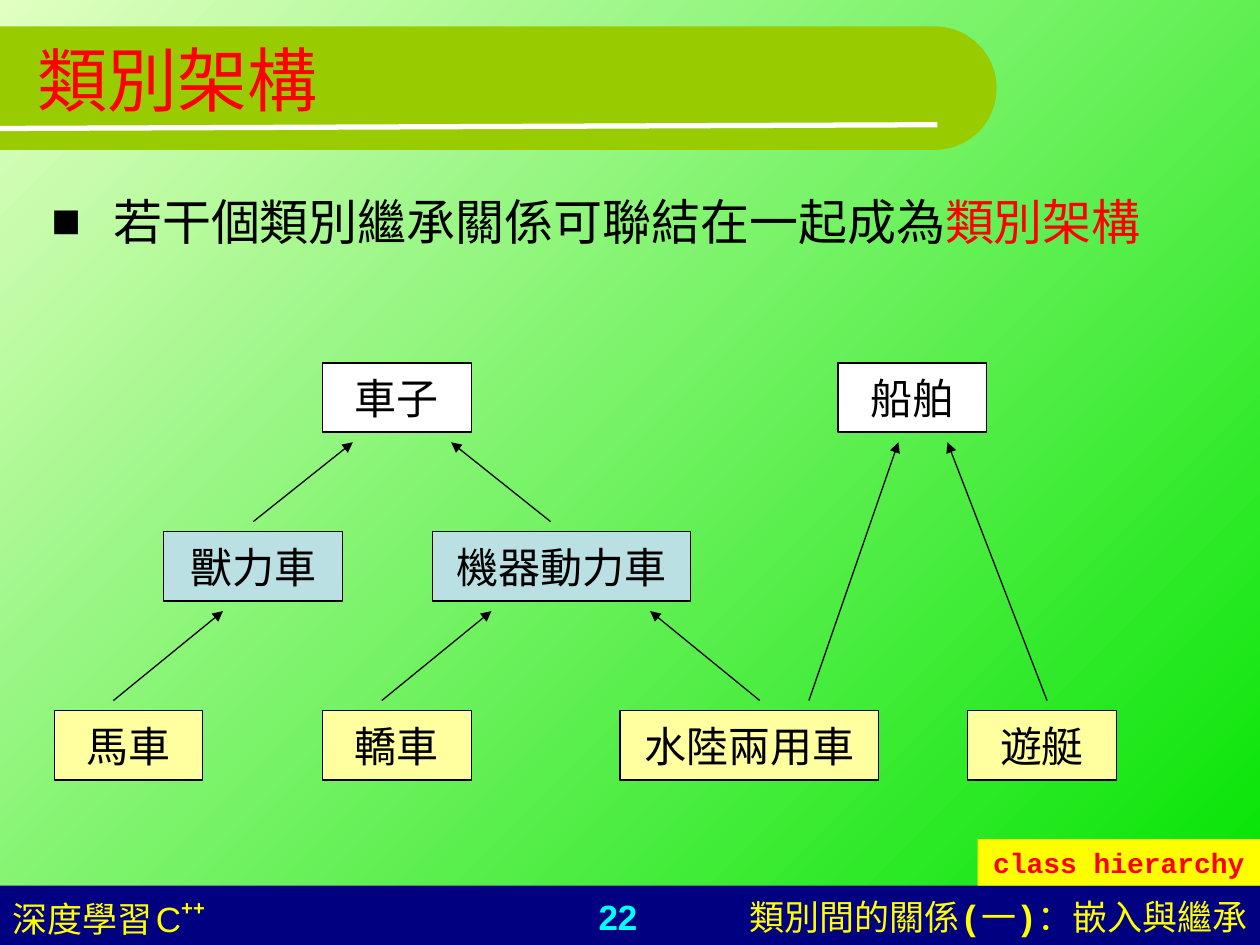
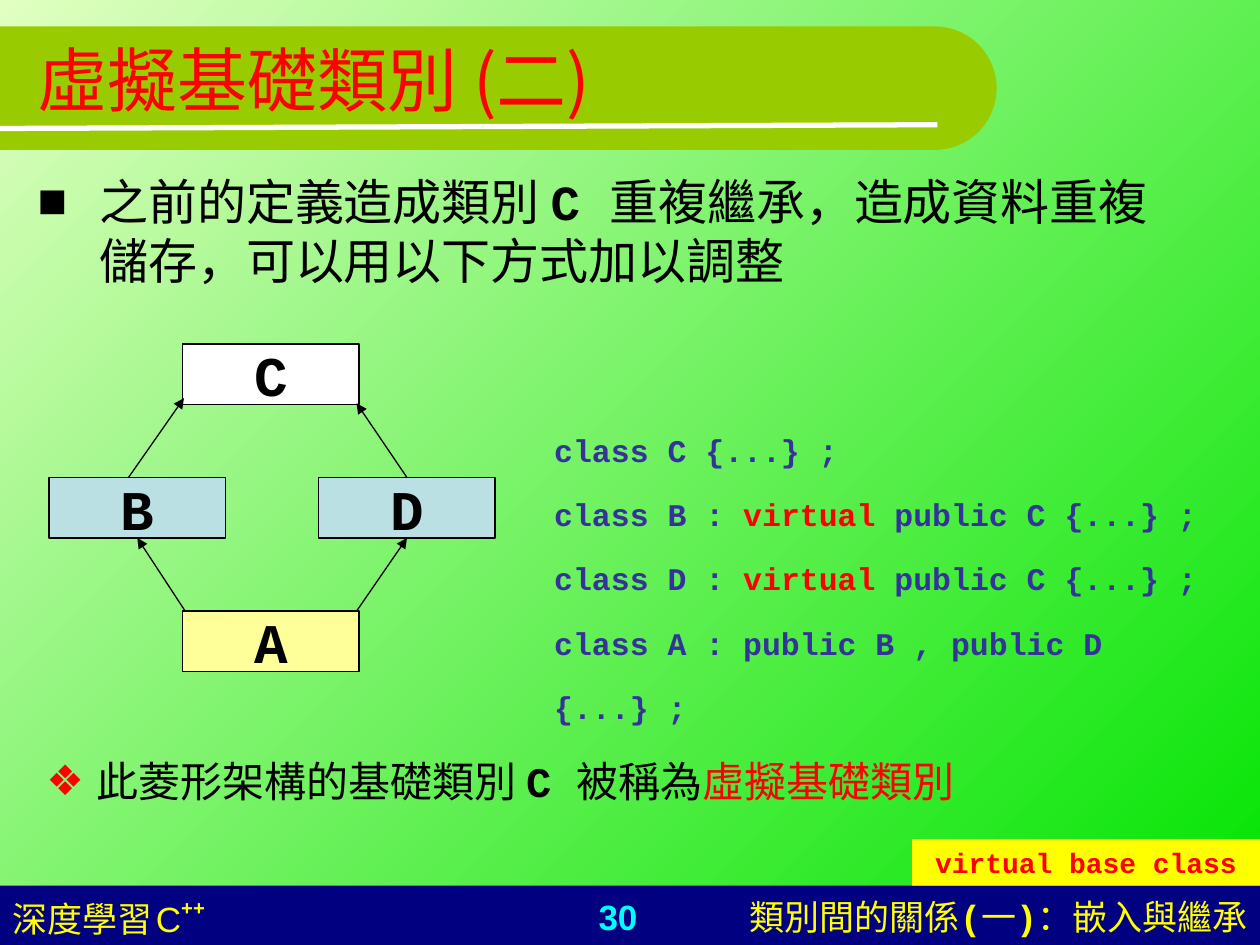
from math import cos, pi, sin

from lxml.etree import SubElement
from pptx import Presentation
from pptx.dml.color import RGBColor
from pptx.enum.shapes import MSO_CONNECTOR, MSO_SHAPE
from pptx.enum.text import MSO_ANCHOR, PP_ALIGN
from pptx.oxml.ns import qn
from pptx.util import Inches, Pt

HUES = {
    "pale": "E0FFC1", "green": "00E400", "olive": "99CC00", "navy": "000080",
    "cyan": "00FFFF", "yellow": "FFFF00", "red": "FF0000", "black": "000000",
    "white": "FFFFFF", "blue": "BBE0E3", "cream": "FFFF9F", "sand": "FFFF99",
    "code": "333399",
}
SANS, MONO, CJK = "Arial", "Courier New", "Noto Sans CJK SC"


def hue(name):
    return RGBColor.from_string(HUES[name])


def style(run, size, face, tint, bold=False, lift=0):
    font = run.font
    font.size, font.name, font.bold = Pt(size), face, bold
    font.color.rgb = hue(tint)
    props = font._element
    east = SubElement(props, qn("a:ea"))
    east.set("typeface", CJK)
    if lift:
        props.set("baseline", str(lift * 1000))


def write(para, runs, size, face=MONO, tint="black", bold=False):
    """Each run is a string, or a string with the settings that differ."""
    for item in runs:
        words, diff = (item, {}) if isinstance(item, str) else item
        run = para.add_run()
        run.text = words
        style(run, **{"size": size, "face": face, "tint": tint, "bold": bold, **diff})


def label(slide, place, runs, size, align=PP_ALIGN.LEFT, **look):
    box = slide.shapes.add_textbox(*map(Inches, place))
    box.text_frame.word_wrap = True
    para = box.text_frame.paragraphs[0]
    para.alignment = align
    write(para, runs, size, **look)
    return para


def point(slide, place, runs, size, mark, tint, indent):
    """A text box with one bulleted paragraph."""
    para = label(slide, place, [], size)
    props = para._p.get_or_add_pPr()
    props.set("marL", str(Inches(indent)))
    props.set("indent", str(-Inches(indent)))
    ink = SubElement(SubElement(props, qn("a:buClr")), qn("a:srgbClr"))
    ink.set("val", HUES[tint])
    SubElement(props, qn("a:buFont")).set("typeface", SANS)
    SubElement(props, qn("a:buChar")).set("char", mark)
    write(para, runs, size)


def paint(shape, fill, edge=None):
    shape.shadow.inherit = False
    shape.fill.solid()
    shape.fill.fore_color.rgb = hue(fill)
    if edge:
        shape.line.color.rgb = hue(edge)
        shape.line.width = Pt(0.75)
    else:
        shape.line.fill.background()


def block(slide, place, fill, edge=None):
    shape = slide.shapes.add_shape(MSO_SHAPE.RECTANGLE, *map(Inches, place))
    paint(shape, fill, edge)
    return shape


def node(slide, place, words, fill, size, bold=False):
    """A class in a diagram."""
    shape = block(slide, place, fill, "black")
    frame = shape.text_frame
    frame.word_wrap = False
    frame.vertical_anchor = MSO_ANCHOR.MIDDLE
    frame.text = words
    para = frame.paragraphs[0]
    para.alignment = PP_ALIGN.CENTER
    style(para.runs[0], size, MONO, "black", bold)
    return shape


def line(slide, start, end, tint, width):
    link = slide.shapes.add_connector(
        MSO_CONNECTOR.STRAIGHT, *map(Inches, start + end))
    link.line.color.rgb = hue(tint)
    link.line.width = Pt(width)
    SubElement(link._element.spPr, qn("a:effectLst"))
    return link


def arrow(slide, start, end):
    link = line(slide, start, end, "black", 0.75)
    tail = SubElement(link.line._get_or_add_ln(), qn("a:tailEnd"))
    tail.set("type", "triangle")
    return link


def band(slide):
    """Title band with a round right end and a white rule."""
    mid, rad, steps = (7.42, 0.7), 0.49, 40
    turns = [pi * i / steps - pi / 2 for i in range(steps + 1)]
    arc = [(mid[0] + rad * cos(t), mid[1] + rad * sin(t)) for t in turns]
    pen = slide.shapes.build_freeform(0, Inches(mid[1] - rad))
    pen.add_line_segments(
        [(Inches(x), Inches(y)) for x, y in arc + [(0, mid[1] + rad)]])
    paint(pen.convert_to_shape(), "olive")
    line(slide, (0, 1.02), (7.44, 0.99), "white", 3)


def footer(slide, number):
    block(slide, (0, 7.03, 10, 0.47), "navy")
    label(slide, (3.74, 7.06, 2.33, 0.44), [number], 20, PP_ALIGN.CENTER,
          face=SANS, tint="cyan", bold=True)
    mono = {"face": MONO, "bold": True}
    label(slide, (5.08, 7.06, 4.92, 0.44),
          ["類別間的關係", ("(", mono), "一", (")", mono), "：",
           ("嵌入與繼承", {"face": CJK})],
          20, PP_ALIGN.RIGHT, face=SANS, tint="yellow")
    label(slide, (0, 7.06, 3.58, 0.44),
          ["深度學習", (" ", {"size": 8}), "C", ("++", {"bold": True, "lift": 46})],
          20, face=SANS, tint="yellow")


def head(slide, words, face):
    title = slide.shapes.title
    title.left, title.top, title.width, title.height = map(Inches, (0.2, 0, 9, 1.25))
    title.text_frame.text = words
    title.text_frame.vertical_anchor = MSO_ANCHOR.MIDDLE
    para = title.text_frame.paragraphs[0]
    para.alignment = PP_ALIGN.LEFT
    style(para.runs[0], 40, face, "red")
    # Bring the title in front of the band
    title._element.getparent().append(title._element)


def tag(slide, words, width):
    """Yellow keyword at the lower right."""
    shape = block(slide, (10 - width, 6.66, width, 0.37), "yellow")
    frame = shape.text_frame
    frame.vertical_anchor = MSO_ANCHOR.TOP
    frame.text = words
    para = frame.paragraphs[0]
    para.alignment = PP_ALIGN.CENTER
    style(para.runs[0], 16, MONO, "red", True)


def page(deck, number, words, face):
    """A slide with everything the slides share."""
    slide = deck.slides.add_slide(deck.slide_layouts[5])
    fill = slide.background.fill
    fill.gradient()
    fill.gradient_angle = 315
    for stop, name, spot in zip(fill.gradient_stops, ("pale", "green"), (0, 1)):
        stop.color.rgb = hue(name)
        stop.position = spot
    footer(slide, number)
    band(slide)
    head(slide, words, face)
    return slide


def tree(deck):
    slide = page(deck, "22", "類別架構", SANS)
    point(slide, (0.31, 1.47, 9.21, 0.67),
          ["若干個類別繼承關係可聯結在一起成為", ("類別架構", {"tint": "red"})],
          28, "■", "black", 0.49)
    # Three levels of classes: top, fill, then left, width and name
    tall, gap = 0.55, 0.08
    tops = (2.88, 4.22, 5.64)
    rows = (
        ("white", [(2.56, 1.18, "車子"), (6.65, 1.18, "船舶")]),
        ("blue", [(1.3, 1.42, "獸力車"), (3.43, 2.05, "機器動力車")]),
        ("cream", [(0.43, 1.18, "馬車"), (2.56, 1.18, "轎車"),
                   (4.92, 2.05, "水陸兩用車"), (7.68, 1.18, "遊艇")]),
    )
    for top, (fill, row) in zip(tops, rows):
        for left, width, name in row:
            node(slide, (left, top, width, tall), name, fill, 24)
    # Arrows from a child level up to a parent level
    links = ((2.01, 1, 2.8, 0), (4.37, 1, 3.58, 0), (0.9, 2, 1.77, 1),
             (3.03, 2, 3.9, 1), (6.03, 2, 5.16, 1), (6.42, 2, 7.13, 0),
             (8.31, 2, 7.52, 0))
    for x, low, to, high in links:
        arrow(slide, (x, tops[low] - gap), (to, tops[high] + tall + gap))
    tag(slide, "class hierarchy", 2.24)


def diamond(deck):
    slide = page(deck, "30", "虛擬基礎類別 (二)", CJK)
    bold = {"bold": True}
    point(slide, (0.2, 1.31, 9.21, 1.14),
          ["之前的定義造成類別 ", ("C ", bold),
           "重複繼承，造成資料重複儲存，可以用以下方式加以調整"],
          28, "■", "black", 0.49)
    # Diamond of four classes
    spots = {"C": (1.45, 2.73, "white"), "B": (0.39, 3.79, "blue"),
             "D": (2.53, 3.79, "blue"), "A": (1.45, 4.85, "sand")}
    nodes = {name: node(slide, (x, y, 1.4, 0.48), name, fill, 32, True)
             for name, (x, y, fill) in spots.items()}
    arrow(slide, (1.47, 4.85), (1.09, 4.27)).end_connect(nodes["B"], 2)
    arrow(slide, (2.83, 4.85), (3.23, 4.27)).end_connect(nodes["D"], 2)
    arrow(slide, (1.02, 3.79), (1.46, 3.16))
    arrow(slide, (3.23, 3.79), (2.83, 3.2)).begin_connect(nodes["D"], 0)
    # Class declarations
    word = ("virtual", {"tint": "red"})
    code = [["class C {...} ;"]]
    code += [[f"class {name} : ", word, " public C {...} ;"] for name in "BD"]
    code += [["class A : public B , public D {...} ;"]]
    box = slide.shapes.add_textbox(*map(Inches, (4.3, 3.16, 5.7, 2.65)))
    frame = box.text_frame
    frame.word_wrap = True
    for i, runs in enumerate(code):
        para = frame.add_paragraph() if i else frame.paragraphs[0]
        para.line_spacing = 1.7
        write(para, runs, 18, tint="code", bold=True)
    tag(slide, "virtual base class", 2.76)
    point(slide, (0.27, 5.95, 7.87, 0.5),
          ["此菱形架構的基礎類別 ", ("C ", bold), "被稱為",
           ("虛擬基礎類別", {"tint": "red"})],
          24, "❖", "red", 0.4)


def main():
    deck = Presentation()
    deck.slide_width, deck.slide_height = Inches(10), Inches(7.5)
    tree(deck)
    diamond(deck)
    deck.save("out.pptx")


if __name__ == "__main__":
    main()
